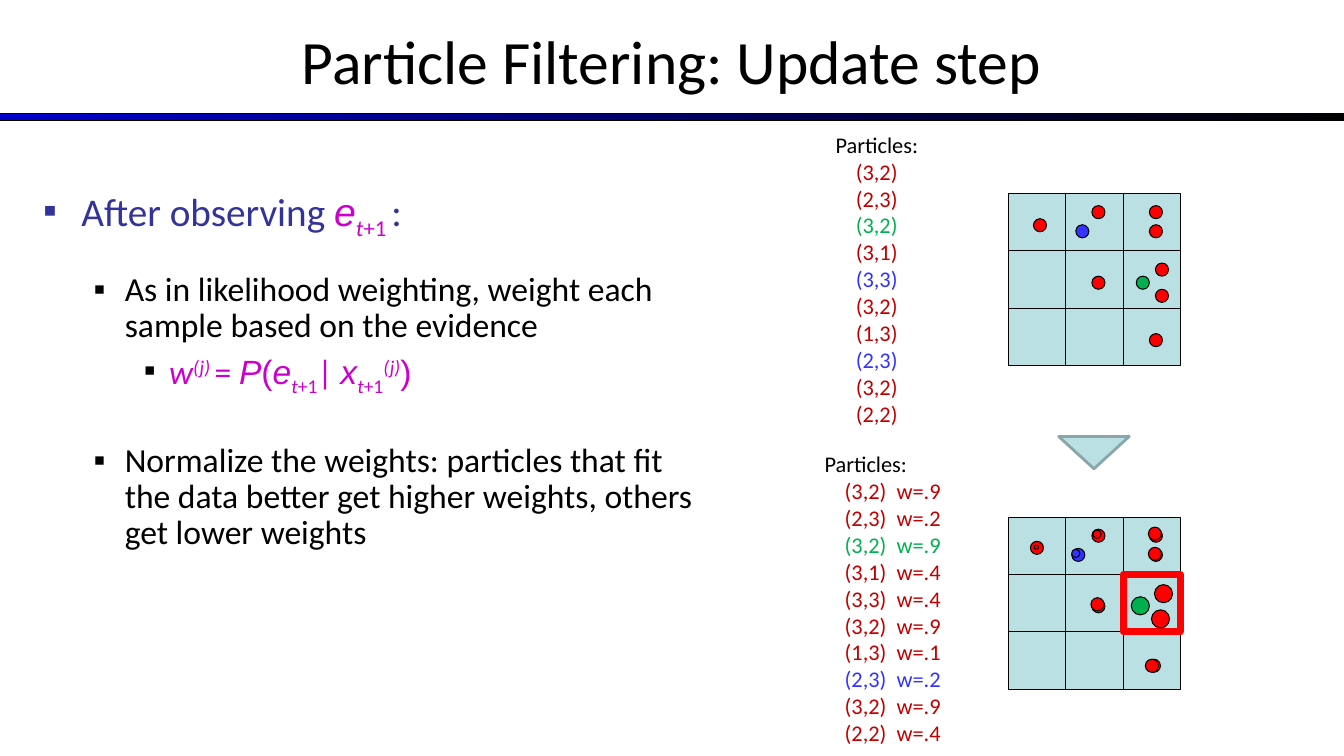
import dataclasses
import itertools
import typing

import lxml.etree
import pptx
import pptx.dml.color
import pptx.enum.shapes
import pptx.enum.text
import pptx.oxml.ns
import pptx.util

EMU_PER_PX = 9144
CELL = 57
SHAPES = pptx.enum.shapes.MSO_SHAPE


@dataclasses.dataclass(frozen=True)
class Theme:
    black: str = "000000"
    bar_blue: str = "0000CC"
    heading: str = "333399"
    formula: str = "CC00CD"
    cell: str = "BBE0E3"
    arrow_line: str = "8AA6A8"
    red: str = "FF0000"
    dark_red: str = "C00000"
    green: str = "00B050"
    blue: str = "3333FF"
    sans: str = "Calibri"
    math: str = "Arial"
    title_size: int = 44
    heading_size: int = 28
    body_size: int = 24
    list_size: int = 16


THEME = Theme()


@dataclasses.dataclass(frozen=True)
class Box:
    left: int
    top: int
    width: int
    height: int


@dataclasses.dataclass(frozen=True)
class Dot:
    left: int
    top: int
    diameter: int = 13
    color: str = THEME.red


@dataclasses.dataclass(frozen=True)
class Piece:
    text: str
    font: str = THEME.sans
    color: str = THEME.formula
    italic: bool = False
    baseline: int = 0


@dataclasses.dataclass(frozen=True)
class Bullet:
    margin: int
    hanging: int
    size: int
    color: str
    space_before: float
    pieces: tuple[Piece, ...]


@dataclasses.dataclass(frozen=True)
class Particle:
    state: str
    color: str = THEME.dark_red
    weight: str = ""


def px(length: int) -> int:
    return pptx.util.Emu(length * EMU_PER_PX)


def rgb(color: str) -> pptx.dml.color.RGBColor:
    return pptx.dml.color.RGBColor.from_string(color)


def add_shape(slide, kind, box: Box, fill: typing.Optional[str],
              line: str = THEME.black, line_width: float = 0.75):
    shape = slide.shapes.add_shape(
        kind, px(box.left), px(box.top), px(box.width), px(box.height))
    shape.shadow.inherit = False
    if fill is None:
        shape.fill.background()
    else:
        shape.fill.solid()
        shape.fill.fore_color.rgb = rgb(fill)
    shape.line.color.rgb = rgb(line)
    shape.line.width = pptx.util.Pt(line_width)
    return shape


def add_text_frame(slide, box: Box):
    shape = slide.shapes.add_textbox(
        px(box.left), px(box.top), px(box.width), px(box.height))
    shape.text_frame.word_wrap = True
    return shape.text_frame


def next_paragraph(frame, index: int):
    return frame.add_paragraph() if index else frame.paragraphs[0]


def style_font(font, size: int, color: str) -> None:
    font.name = THEME.sans
    font.size = pptx.util.Pt(size)
    font.color.rgb = rgb(color)


def set_indent(paragraph, margin: int, hanging: int = 0) -> None:
    properties = paragraph._p.get_or_add_pPr()
    properties.set("marL", str(px(margin)))
    properties.set("indent", str(px(-hanging)))


def add_bullet_mark(paragraph, color: str) -> None:
    properties = paragraph._p.get_or_add_pPr()
    name = pptx.oxml.ns.qn
    bullet_color = lxml.etree.SubElement(properties, name("a:buClr"))
    lxml.etree.SubElement(bullet_color, name("a:srgbClr"), val=color)
    lxml.etree.SubElement(properties, name("a:buFont"), typeface=THEME.math)
    lxml.etree.SubElement(properties, name("a:buChar"), char="▪")


def add_bullets(slide, box: Box, bullets: typing.Sequence[Bullet]) -> None:
    frame = add_text_frame(slide, box)
    for index, bullet in enumerate(bullets):
        paragraph = next_paragraph(frame, index)
        set_indent(paragraph, bullet.margin, bullet.hanging)
        add_bullet_mark(paragraph, bullet.color)
        paragraph.line_spacing = 0.9
        paragraph.space_before = pptx.util.Pt(bullet.space_before)
        paragraph.font.size = pptx.util.Pt(bullet.size)
        for piece in bullet.pieces:
            run = paragraph.add_run()
            run.text = piece.text
            run.font.name = piece.font
            run.font.color.rgb = rgb(piece.color)
            run.font.italic = piece.italic
            if piece.baseline:
                run._r.get_or_add_rPr().set("baseline", str(piece.baseline * 1000))


def add_particle_list(slide, box: Box, particles: typing.Sequence[Particle]) -> None:
    frame = add_text_frame(slide, box)
    heading = frame.paragraphs[0]
    heading.text = "Particles:"
    style_font(heading.font, THEME.list_size, THEME.black)
    for particle in particles:
        paragraph = frame.add_paragraph()
        set_indent(paragraph, 20)
        style_font(paragraph.font, THEME.list_size, particle.color)
        paragraph.add_run().text = particle.state
        if particle.weight:
            gap = paragraph.add_run()
            gap.text = " "
            gap._r.get_or_add_rPr().set("spc", "360")
            paragraph.add_run().text = f"w={particle.weight}"


def add_grid(slide, left: int, top: int) -> None:
    for column, row in itertools.product(range(3), repeat=2):
        box = Box(left + column * CELL, top + row * CELL, CELL, CELL)
        add_shape(slide, SHAPES.RECTANGLE, box, THEME.cell)


def add_dots(slide, dots: typing.Sequence[Dot]) -> None:
    for dot in dots:
        box = Box(dot.left, dot.top, dot.diameter, dot.diameter)
        add_shape(slide, SHAPES.OVAL, box, dot.color)


def math_piece(text: str, italic: bool = True) -> Piece:
    return Piece(text, font=THEME.math, italic=italic)


NEXT_TIME = (Piece("t", italic=True, baseline=-25), Piece("+1", baseline=-25))
BULLETS = (
    Bullet(38, 38, THEME.heading_size, THEME.heading, 0, (
        Piece("After observing ", color=THEME.heading), math_piece("e"),
        *NEXT_TIME, Piece(" ", baseline=-25), Piece(":", color=THEME.heading))),
    Bullet(81, 31, THEME.body_size, THEME.black, 25.6, (
        Piece("As in likelihood weighting, weight each sample based on the evidence",
              color=THEME.black),)),
    Bullet(125, 25, THEME.body_size, THEME.black, 4.8, (
        Piece("w", italic=True), Piece("(j) ", italic=True, baseline=30),
        Piece("= "), math_piece("P"), math_piece("(", False), math_piece("e"),
        *NEXT_TIME, Piece("| "), math_piece("x"), *NEXT_TIME,
        Piece("(j)", italic=True, baseline=30), math_piece(")", False))),
    Bullet(81, 31, THEME.body_size, THEME.black, 36, (
        Piece("Normalize the weights: particles that fit the data better get "
              "higher weights, others get lower weights", color=THEME.black),)),
)
STATES = ("(3,2)", "(2,3)", "(3,2)", "(3,1)", "(3,3)",
          "(3,2)", "(1,3)", "(2,3)", "(3,2)", "(2,2)")
WEIGHTS = (".9", ".2", ".9", ".4", ".4", ".9", ".1", ".2", ".9", ".4")
SAMPLE_COLORS = {2: THEME.green, 4: THEME.blue, 7: THEME.blue}
WEIGHTED_COLORS = {2: THEME.green, 7: THEME.blue}
SAMPLES = [Particle(state, SAMPLE_COLORS.get(index, THEME.dark_red))
           for index, state in enumerate(STATES)]
WEIGHTED = [Particle(state, WEIGHTED_COLORS.get(index, THEME.dark_red), weight)
            for index, (state, weight) in enumerate(zip(STATES, WEIGHTS))]
SAMPLE_DOTS = (
    Dot(1127, 274, color=THEME.green), Dot(1146, 261), Dot(1146, 287),
    Dot(1140, 204), Dot(1083, 274), Dot(1140, 331), Dot(1025, 217),
    Dot(1140, 223), Dot(1067, 223, color=THEME.blue), Dot(1083, 204))
WEIGHTED_DOTS = (
    Dot(1140, 525), Dot(1083, 595), Dot(1138, 654), Dot(1022, 537),
    Dot(1140, 544), Dot(1063, 544, color=THEME.blue), Dot(1083, 525),
    Dot(1139, 523), Dot(1082, 593), Dot(1136, 654), Dot(1139, 543),
    Dot(1063, 545, 8, THEME.blue), Dot(1084, 526, 8), Dot(1026, 541, 4),
    Dot(1142, 605, 18), Dot(1122, 592, 18, THEME.green), Dot(1145, 580, 18))


def main() -> None:
    presentation = pptx.Presentation()
    presentation.slide_width, presentation.slide_height = px(1333), px(750)
    slide = presentation.slides.add_slide(presentation.slide_layouts[6])

    bar = add_shape(slide, SHAPES.RECTANGLE, Box(0, 113, 1333, 7), THEME.bar_blue)
    bar.fill.gradient()
    bar.fill.gradient_angle = 0
    for stop, color in zip(bar.fill.gradient_stops, (THEME.bar_blue, THEME.black)):
        stop.color.rgb = rgb(color)

    title_frame = add_text_frame(slide, Box(0, 0, 1333, 119))
    title_frame.vertical_anchor = pptx.enum.text.MSO_ANCHOR.MIDDLE
    title = title_frame.paragraphs[0]
    title.text = "Particle Filtering: Update step"
    title.alignment = pptx.enum.text.PP_ALIGN.CENTER
    style_font(title.font, THEME.title_size, THEME.black)

    add_bullets(slide, Box(33, 182, 667, 535), BULLETS)
    add_particle_list(slide, Box(819, 125, 173, 308), SAMPLES)
    add_particle_list(slide, Box(808, 442, 153, 306), WEIGHTED)

    add_grid(slide, 1000, 192)
    add_dots(slide, SAMPLE_DOTS)
    arrow = add_shape(slide, SHAPES.ISOSCELES_TRIANGLE, Box(1050, 433, 70, 32),
                      THEME.cell, THEME.arrow_line, 2)
    arrow.rotation = 180
    add_grid(slide, 1000, 513)
    add_shape(slide, SHAPES.RECTANGLE, Box(1114, 570, CELL, CELL), None, THEME.red, 5)
    add_dots(slide, WEIGHTED_DOTS)
    presentation.save("out.pptx")


if __name__ == "__main__":
    main()
